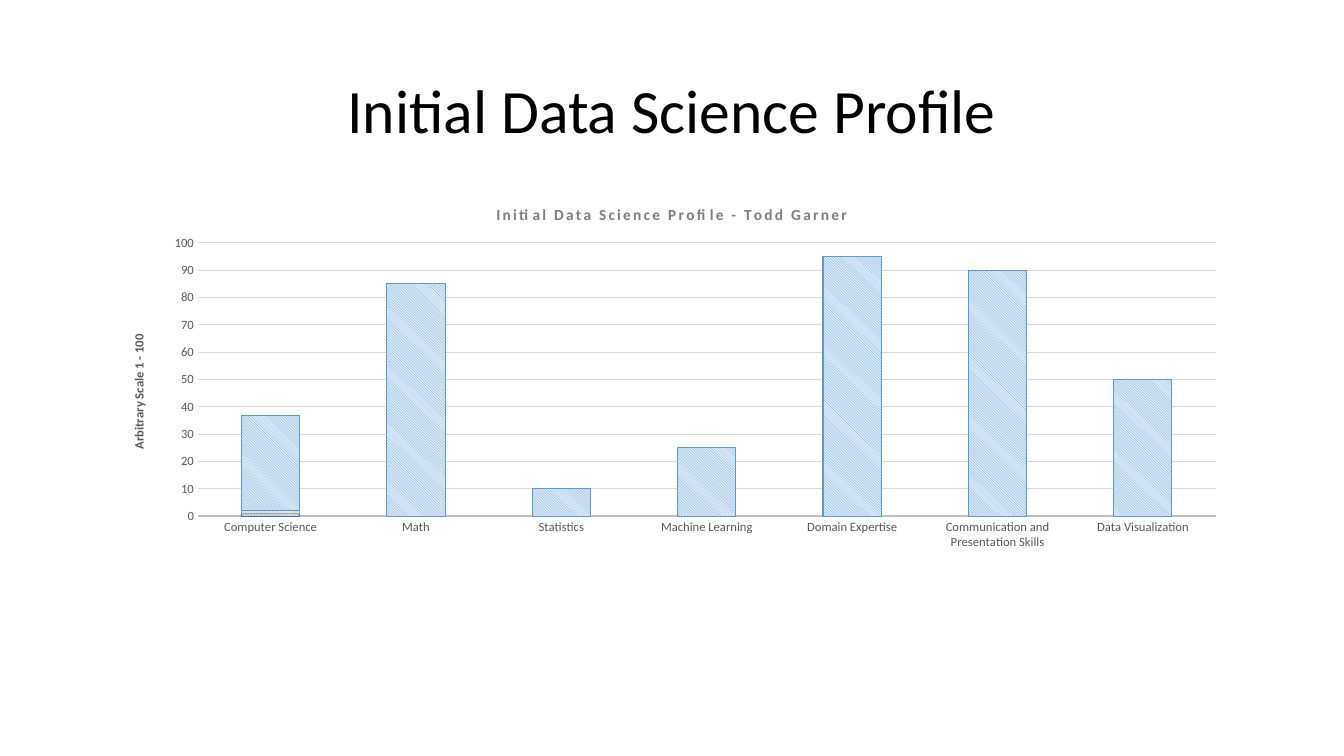
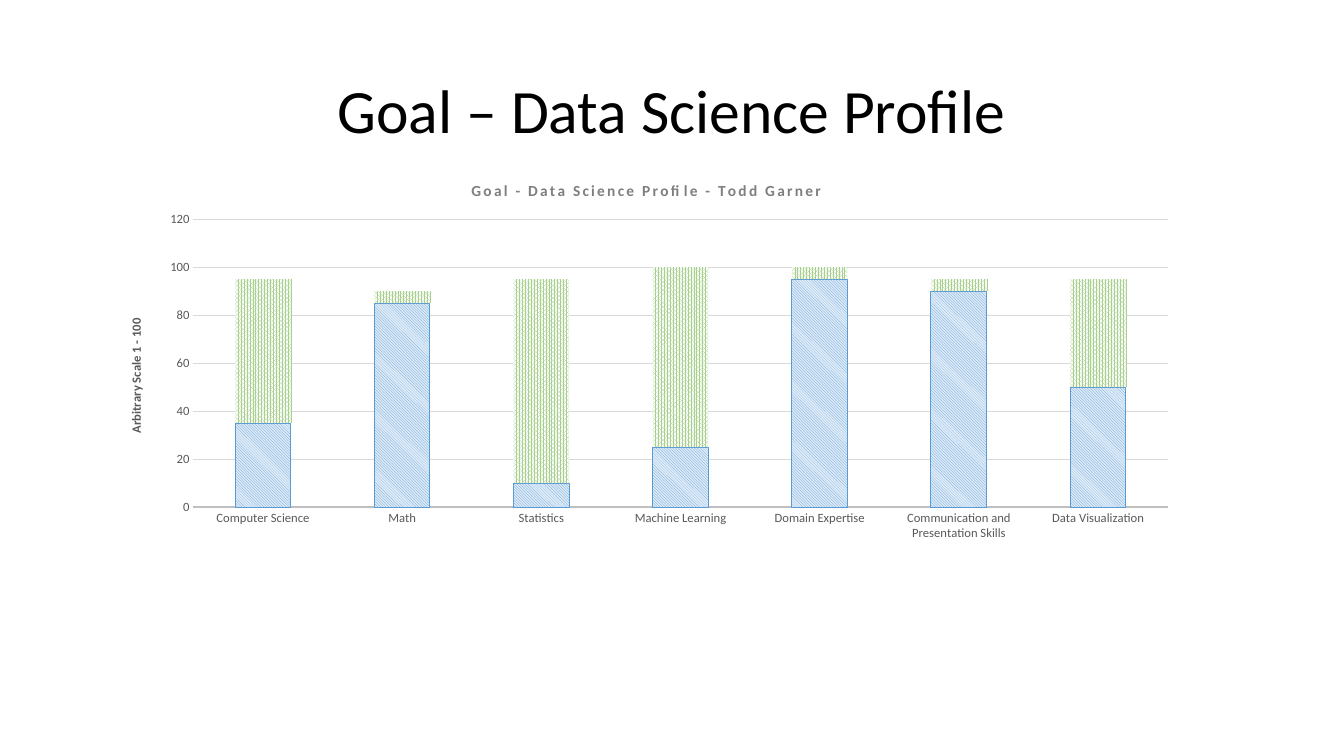
from dataclasses import dataclass

from lxml.etree import SubElement
from pptx import Presentation
from pptx.chart.data import CategoryChartData as ChartData
from pptx.dml.color import RGBColor as Color
from pptx.enum.chart import XL_CHART_TYPE as ChartType, XL_TICK_MARK as TickMark
from pptx.enum.dml import MSO_PATTERN as Pattern
from pptx.enum.text import MSO_ANCHOR as Anchor, PP_ALIGN as Align
from pptx.oxml.ns import qn
from pptx.util import Inches, Pt


@dataclass(frozen=True)
class Theme:
    font: str = "Calibri"
    ink: str = "000000"
    label: str = "595959"
    heading: str = "7F7F7F"
    axis: str = "BFBFBF"
    grid: str = "D9D9D9"
    title_size: float = 44
    heading_size: float = 11
    chart_size: float = 10
    label_size: float = 9
    axis_width: float = 1.5
    thin_width: float = 0.75


theme = Theme()

# Series styles: pattern, foreground, background, outline
DIAGONAL = Pattern.LIGHT_DOWNWARD_DIAGONAL
INDIGO = (DIAGONAL, "4472C4", "DAE3F3", "4472C4")
GRAY = (DIAGONAL, "A5A5A5", "EDEDED", "A5A5A5")
BLUE = (DIAGONAL, "5B9BD5", "DEEBF7", "5B9BD5")
GREEN = (Pattern.PERCENT_80, "A9D18E", "FFFFFF", None)
GOLD = (None, "FFC000", None, None)

# Content
SKILLS = ["Computer Science", "Math", "Statistics", "Machine Learning",
          "Domain Expertise", "Communication and Presentation Skills",
          "Data Visualization"]
CURRENT = [35, 85, 10, 25, 95, 90, 50]
GAP_TO_GOAL = [60, 5, 85, 75, 5, 5, 45]
NO_VALUES = [None] * len(SKILLS)
FIRST_ONLY = [1] + NO_VALUES[1:]

PAGES = [
    dict(title="Initial Data Science Profile",
         heading="Initial Data Science Profile - Todd Garner",
         top=2.96, columns=13.8, maximum=100, step=10,
         heading_place=dict(x=34.6, y=3), scale_place=dict(x=3.1, y=29.4),
         series=[("Series 1", FIRST_ONLY, INDIGO),
                 ("Series 2", FIRST_ONLY, GRAY),
                 ("Series 3", CURRENT, BLUE)]),
    dict(title="Goal – Data Science Profile",
         heading="Goal - Data Science Profile - Todd Garner",
         top=2.54, columns=13.21, maximum=120, step=20,
         heading_place=dict(x=33.9, y=3.2), scale_place=dict(x=3, y=29.9),
         series=[("Series 1", NO_VALUES, GOLD),
                 ("Series 2", CURRENT, BLUE),
                 ("Series 3", GAP_TO_GOAL, GREEN)]),
]


def write_text(frame, text, *, size, color, bold=False, align=Align.CENTER,
               line_spacing=None, tracking=None):
    para = frame.paragraphs[0]
    para.alignment = align
    para.line_spacing = line_spacing
    span = para.add_run()
    span.text = text
    span.font.name = theme.font
    span.font.size = Pt(size)
    span.font.bold = bold
    span.font.color.rgb = Color.from_string(color)
    if tracking:
        span.font._element.set("spc", str(int(tracking * 100)))


def place_in_chart(parent, target=None, **percents):
    """Set a manual layout in percent of the chart's size."""
    layout = parent.find(qn("c:layout"))
    if layout is not None:
        parent.remove(layout)
    layout = parent.makeelement(qn("c:layout"))
    parent.insert(0 if parent.find(qn("c:tx")) is None else 1, layout)
    manual = SubElement(layout, qn("c:manualLayout"))
    if target:
        SubElement(manual, qn("c:layoutTarget")).set("val", target)
    for mode in ("xMode", "yMode"):
        SubElement(manual, qn(f"c:{mode}")).set("val", "edge")
    for name, percent in percents.items():
        SubElement(manual, qn(f"c:{name}")).set("val", f"{percent / 100:.3f}")


# Deck and its grid of 16 columns and 12 rows
deck = Presentation()
deck.slide_width, deck.slide_height = Inches(13.33), Inches(7.5)
COLUMN, ROW = deck.slide_width / 16, deck.slide_height / 12
LEFT, TITLE_TOP, CHART_BOTTOM = 1.1, 0.64, 10.82
TITLE_COLUMNS, TITLE_ROWS = 13.8, 2.32

for content in PAGES:
    page = deck.slides.add_slide(deck.slide_layouts[6])

    # Slide title
    box = page.shapes.add_textbox(
        int(LEFT * COLUMN), int(TITLE_TOP * ROW),
        int(TITLE_COLUMNS * COLUMN), int(TITLE_ROWS * ROW))
    box.text_frame.word_wrap = True
    box.text_frame.vertical_anchor = Anchor.MIDDLE
    write_text(box.text_frame, content["title"], size=theme.title_size,
               color=theme.ink, line_spacing=0.9)

    # Stacked columns
    data = ChartData()
    data.categories = SKILLS
    for name, values, _ in content["series"]:
        data.add_series(name, values)
    chart = page.shapes.add_chart(
        ChartType.COLUMN_STACKED,
        int(LEFT * COLUMN), int(content["top"] * ROW),
        int(content["columns"] * COLUMN),
        int((CHART_BOTTOM - content["top"]) * ROW), data).chart
    chart.has_legend = False
    chart.font.name = theme.font
    chart.font.size = Pt(theme.chart_size)
    chart.font.color.rgb = Color.from_string(theme.ink)
    plot = chart.plots[0]
    plot.gap_width, plot.overlap = 150, 100
    plot.vary_by_categories = False
    place_in_chart(chart.element.find(".//" + qn("c:plotArea")),
                   target="inner", x=9.1, y=11.4, w=87.8, h=55.2)

    for series, (_, _, style) in zip(plot.series, content["series"]):
        pattern, foreground, background, outline = style
        series.invert_if_negative = False
        fill, line = series.format.fill, series.format.line
        if pattern:
            fill.patterned()
            fill.pattern = pattern
            fill.back_color.rgb = Color.from_string(background)
        else:
            fill.solid()
        fill.fore_color.rgb = Color.from_string(foreground)
        if outline:
            line.color.rgb = Color.from_string(outline)
            line.width = Pt(theme.thin_width)
        else:
            line.fill.background()

    # Axes
    skills, scale = chart.category_axis, chart.value_axis
    for axis in (skills, scale):
        axis.major_tick_mark = axis.minor_tick_mark = TickMark.NONE
        axis.tick_labels.font.name = theme.font
        axis.tick_labels.font.size = Pt(theme.label_size)
        axis.tick_labels.font.color.rgb = Color.from_string(theme.label)
    scale.minimum_scale, scale.maximum_scale = 0, content["maximum"]
    scale.major_unit = content["step"]
    scale.has_major_gridlines = True
    scale.format.line.fill.background()
    for line, color, width in (
            (skills.format.line, theme.axis, theme.axis_width),
            (scale.major_gridlines.format.line, theme.grid, theme.thin_width)):
        line.color.rgb = Color.from_string(color)
        line.width = Pt(width)

    # Chart heading and scale title
    chart.has_title = True
    write_text(chart.chart_title.text_frame, content["heading"], bold=True,
               size=theme.heading_size, color=theme.heading, tracking=1.5)
    place_in_chart(chart.chart_title.element, **content["heading_place"])
    scale.has_title = True
    write_text(scale.axis_title.text_frame, "Arbitrary Scale 1 - 100", bold=True,
               size=theme.label_size, color=theme.label)
    place_in_chart(scale.axis_title.element, **content["scale_place"])

deck.save("out.pptx")
